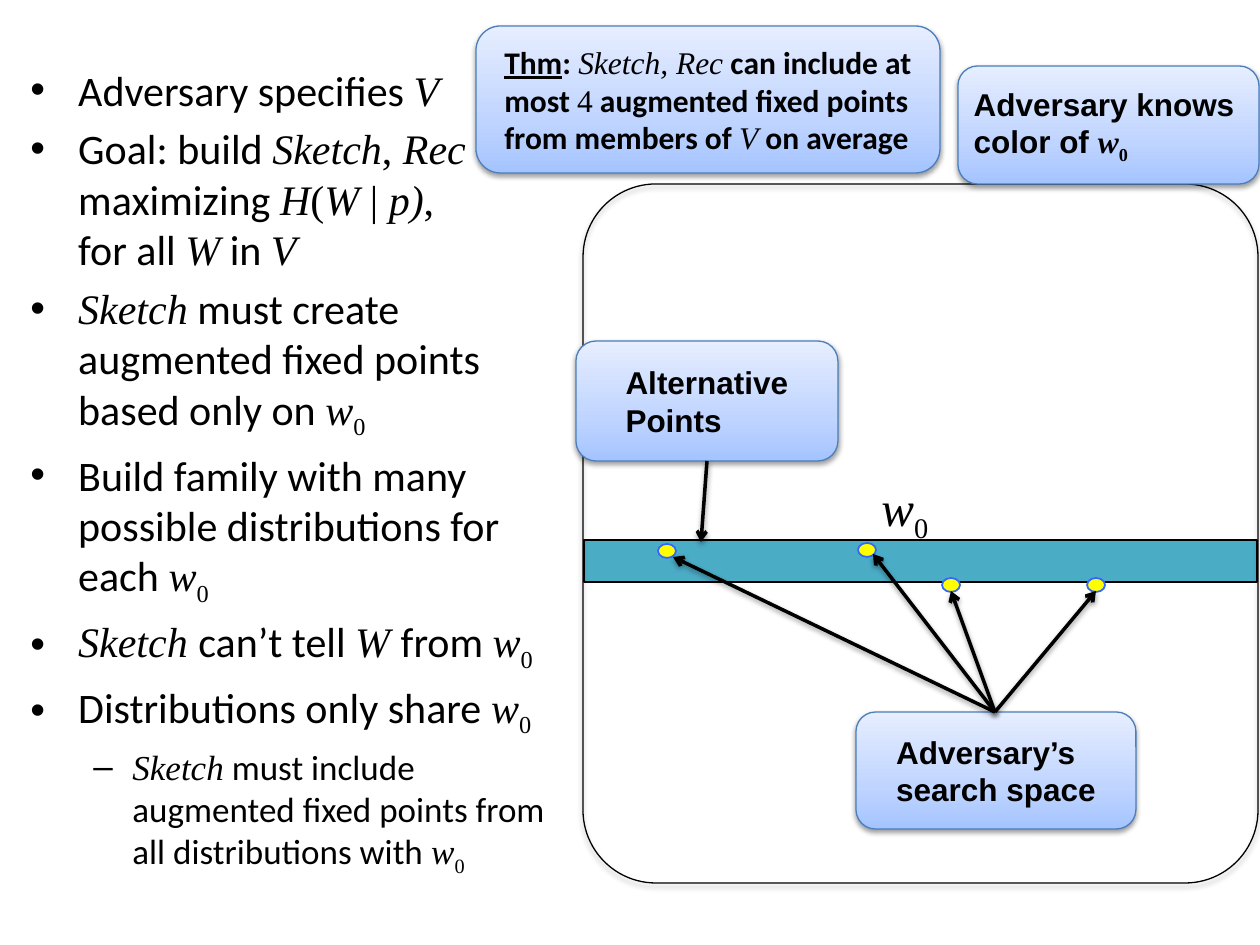
from dataclasses import dataclass
from typing import NamedTuple

from lxml import etree
from pptx import Presentation
from pptx import util as u
from pptx.dml import color
from pptx.enum import shapes, text
from pptx.oxml import ns

PX = 914400 / 126
COLORS = {
    "ink": "000000",
    "band": "4BACC6",
    "dot": "FFFF00",
    "dot_edge": "3366FF",
    "card_edge": "4B7EBC",
    "card_low": "A4C4FF",
    "card_mid": "BFD4FF",
    "card_high": "E6EEFF",
}
LOOKS = {
    "prose": {"name": "Calibri"},
    "label": {"name": "Arial"},
    "math": {"name": "Times New Roman", "italic": True},
    "upright": {"name": "Times New Roman"},
    "sub": {"name": "Times New Roman"},
}
CARD_STOPS = [(0, "card_low"), (35, "card_mid"), (100, "card_high")]


class Run(NamedTuple):
    words: str
    look: str = "prose"
    bold: bool = False
    underline: bool = False


class Box(NamedTuple):
    left: int
    top: int
    width: int
    height: int


class Arrow(NamedTuple):
    start: tuple[int, int]
    end: tuple[int, int]


@dataclass
class Card:
    box: Box
    runs: list[Run]


@dataclass
class Bullet:
    runs: list[Run]
    sub: bool = False


W0 = [Run("w", "math"), Run("0", "sub")]
BOLD_W0 = [run._replace(bold=True) for run in W0]

BULLETS = [
    Bullet([Run("Adversary specifies "), Run("V", "math")]),
    Bullet([
        Run("Goal: build "), Run("Sketch", "math"), Run(",", "upright"),
        Run(" Rec", "math"), Run(" maximizing "), Run("H", "math"),
        Run("(", "upright"), Run("W", "math"), Run(" | ", "upright"),
        Run("p)", "math"), Run(", \v", "upright"), Run("for all "),
        Run("W", "math"), Run(" in "), Run("V", "math"),
    ]),
    Bullet([Run("Sketch", "math"),
            Run(" must create augmented fixed points based only on "), *W0]),
    Bullet([Run("Build family with many possible distributions for each "), *W0]),
    Bullet([Run("Sketch ", "math"), Run("can’t tell "), Run("W ", "math"),
            Run("from "), *W0]),
    Bullet([Run("Distributions only share "), *W0]),
    Bullet([Run("Sketch", "math"),
            Run(" must include augmented fixed points from all distributions with "),
            *W0], sub=True),
]

CARDS = [
    Card(Box(958, 66, 301, 118),
         [Run("Adversary knows \vcolor of ", "label", True), *BOLD_W0]),
    Card(Box(576, 341, 262, 120), [Run("Alternative Points", "label", True)]),
    Card(Box(856, 712, 280, 117), [Run("Adversary’s search space", "label", True)]),
    Card(Box(476, 26, 464, 147), [
        Run("Thm", bold=True, underline=True), Run(": ", bold=True),
        Run("Sketch, Rec", "math"), Run(" can include at most ", bold=True),
        Run("4", "upright"),
        Run(" augmented fixed points from members of ", bold=True),
        Run("V", "math"), Run(" on average", bold=True),
    ]),
]

DOTS = [(942, 578), (1087, 578), (658, 544), (858, 543)]
SEARCH_TOP = (995, 712)
SEARCHED = [(1096, 591), (873, 554), (673, 557), (951, 591)]
ARROWS = [Arrow((707, 461), (701, 542))] + [Arrow(SEARCH_TOP, end) for end in SEARCHED]


def emu(*lengths: int) -> list[int]:
    return [round(length * PX) for length in lengths]


def rgb(key: str) -> color.RGBColor:
    return color.RGBColor.from_string(COLORS[key])


def add_child(parent, tag: str, **attributes):
    child = etree.SubElement(parent, ns.qn(tag))
    for key, value in attributes.items():
        child.set(key, str(value))
    return child


def set_shadow(drawn, opacity: int, distance: float) -> None:
    effects = add_child(drawn._element.spPr, "a:effectLst")
    if opacity:
        shadow = add_child(effects, "a:outerShdw", blurRad=u.Pt(3.1),
                           dist=u.Pt(distance), dir=5400000, rotWithShape=0)
        ink = add_child(shadow, "a:srgbClr", val=COLORS["ink"])
        add_child(ink, "a:alpha", val=opacity * 1000)


def set_gradient(shape) -> None:
    gradient = etree.Element(ns.qn("a:gradFill"), rotWithShape="1")
    stops = add_child(gradient, "a:gsLst")
    for percent, key in CARD_STOPS:
        stop = add_child(stops, "a:gs", pos=percent * 1000)
        add_child(stop, "a:srgbClr", val=COLORS[key])
    add_child(gradient, "a:lin", ang=16200000, scaled=0)
    shape._element.spPr.find(ns.qn("a:prstGeom")).addnext(gradient)


def draw_shape(slide, kind, box: Box, edge: str, points: float, fill: str = "",
               opacity: int = 0, distance: float = 0):
    shape = slide.shapes.add_shape(kind, *emu(*box))
    if fill:
        shape.fill.solid()
        shape.fill.fore_color.rgb = rgb(fill)
    else:
        shape.fill.background()
    shape.line.color.rgb = rgb(edge)
    shape.line.width = u.Pt(points)
    set_shadow(shape, opacity, distance)
    return shape


def write_runs(paragraph, runs: list[Run], size: int) -> None:
    for run in runs:
        for index, line in enumerate(run.words.split("\v")):
            if index:
                paragraph.add_line_break()
            if not line:
                continue
            part = paragraph.add_run()
            part.text = line
            formats = {"size": u.Pt(size), "bold": run.bold,
                       "underline": run.underline, "italic": False} | LOOKS[run.look]
            for key, value in formats.items():
                setattr(part.font, key, value)
            part.font.color.rgb = rgb("ink")
            if run.look == "sub":
                part.font._element.set("baseline", "-25000")


def draw_card(slide, card: Card) -> None:
    shape = draw_shape(slide, shapes.MSO_SHAPE.ROUNDED_RECTANGLE, card.box,
                       "card_edge", 0.75, opacity=38, distance=1.6)
    shape._element.spPr.remove(shape._element.spPr.find(ns.qn("a:noFill")))
    set_gradient(shape)
    frame = shape.text_frame
    formats = {"word_wrap": True, "vertical_anchor": text.MSO_ANCHOR.MIDDLE}
    formats |= {f"margin_{side}": u.Inches(0.05)
                for side in ("left", "top", "right", "bottom")}
    for key, value in formats.items():
        setattr(frame, key, value)
    frame._element.bodyPr.set("anchorCtr", "1")
    paragraph = frame.paragraphs[0]
    paragraph.alignment = text.PP_ALIGN.LEFT
    write_runs(paragraph, card.runs, 18)


def draw_bullets(slide, box: Box, bullets: list[Bullet]) -> None:
    frame = slide.shapes.add_textbox(*emu(*box)).text_frame
    frame.word_wrap = True
    for index, bullet in enumerate(bullets):
        paragraph = frame.add_paragraph() if index else frame.paragraphs[0]
        size, margin, indent, mark = (20, 0.81, -0.31, "–") if bullet.sub else (24, 0.38, -0.38, "•")
        paragraph.space_before = u.Pt(size * 0.2)
        properties = paragraph._p.get_or_add_pPr()
        properties.set("marL", str(u.Inches(margin)))
        properties.set("indent", str(u.Inches(indent)))
        add_child(properties, "a:buFont", typeface="Arial")
        add_child(properties, "a:buChar", char=mark)
        write_runs(paragraph, bullet.runs, size)


def draw_arrow(slide, arrow: Arrow) -> None:
    connector = slide.shapes.add_connector(
        shapes.MSO_CONNECTOR.STRAIGHT, *emu(*arrow.start, *arrow.end))
    connector.line.color.rgb = rgb("ink")
    connector.line.width = u.Pt(2)
    add_child(connector.line._get_or_add_ln(), "a:tailEnd", type="arrow")
    set_shadow(connector, 38, 1.6)


def main() -> None:
    deck = Presentation()
    deck.slide_width, deck.slide_height = emu(1260, 945)
    slide = deck.slides.add_slide(deck.slide_layouts[6])
    draw_shape(slide, shapes.MSO_SHAPE.RECTANGLE, Box(584, 540, 673, 42), "ink", 1, "band")
    for dot in DOTS:
        draw_shape(slide, shapes.MSO_SHAPE.OVAL, Box(*dot, 18, 14), "dot_edge", 1, "dot")
    space = draw_shape(slide, shapes.MSO_SHAPE.ROUNDED_RECTANGLE, Box(583, 184, 675, 699),
                       "ink", 0.75, opacity=35, distance=1.8)
    space.adjustments[0] = 0.108
    draw_bullets(slide, Box(18, 58, 566, 848), BULLETS)
    center = slide.shapes.add_textbox(*emu(869, 471, 81, 72)).text_frame
    center.word_wrap = False
    write_runs(center.paragraphs[0], W0, 28)
    for card in CARDS:
        draw_card(slide, card)
    for arrow in ARROWS:
        draw_arrow(slide, arrow)
    deck.save("out.pptx")


if __name__ == "__main__":
    main()
